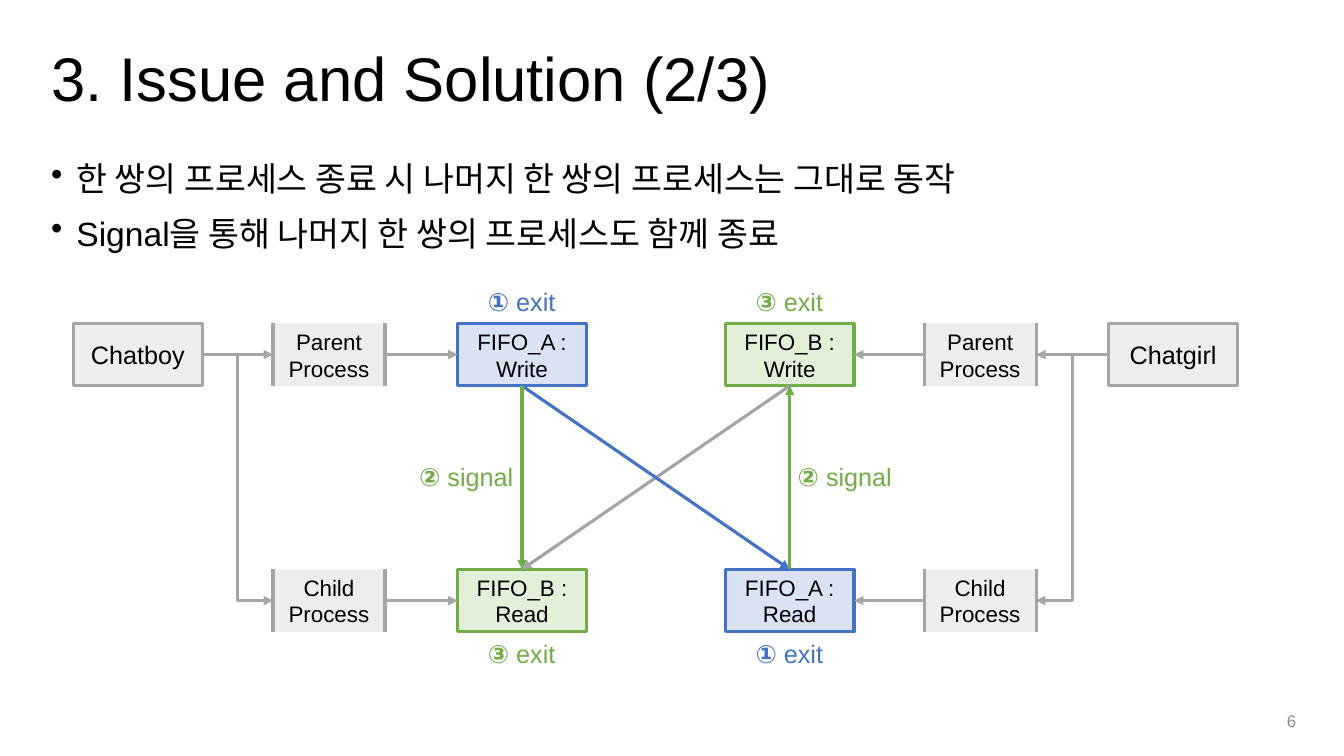
from pptx import Presentation
from pptx import util as u
from pptx.dml.color import RGBColor
from pptx.enum import shapes, text
from pptx.oxml import xmlchemy as x

Pt = u.Pt
COLORS = {
    "black": "000000", "number": "8C8C8C",
    "gray": "A5A5A5", "gray_fill": "EDEDED",
    "blue": "4472C4", "blue_fill": "DAE3F3",
    "green": "70AD47", "green_fill": "E2F0D9",
}
TOP, LEFT, BOTTOM, RIGHT = range(4)
ALIGN = text.PP_ALIGN
MIDDLE = text.MSO_ANCHOR.MIDDLE


def rgb(name):
    """Return the named palette colour."""
    return RGBColor.from_string(COLORS[name])


def write(p, words, size, color="black", **formats):
    """Add a run of Arial text to a paragraph."""
    r = p.add_run()
    r.text = words
    for key, value in {"name": "Arial", "size": Pt(size), **formats}.items():
        setattr(r.font, key, value)
    r.font.color.rgb = rgb(color)


def set_frame(tf, **formats):
    """Apply wrapping and other settings to a text frame."""
    settings = {"word_wrap": True, "auto_size": text.MSO_AUTO_SIZE.NONE}
    for key, value in {**settings, **formats}.items():
        setattr(tf, key, value)
    return tf


def add_text(s, box, **formats):
    """Add a text box and return its frame."""
    return set_frame(s.shapes.add_textbox(*map(Pt, box)).text_frame, **formats)


def add_title(s, box, words):
    """Place and format the title placeholder."""
    sp = s.shapes.title
    for key, value in zip(("left", "top", "width", "height"), box):
        setattr(sp, key, Pt(value))
    p = set_frame(sp.text_frame, vertical_anchor=MIDDLE).paragraphs[0]
    p.alignment, p.line_spacing = ALIGN.LEFT, 0.9
    write(p, words, 44)


def add_bullets(s, box, items):
    """Add the bulleted body text."""
    tf = add_text(s, box)
    for i, words in enumerate(items):
        p = tf.add_paragraph() if i else tf.paragraphs[0]
        p.space_before = Pt(10)
        pPr = p._p.get_or_add_pPr()
        pPr.set("marL", str(Pt(18)))
        pPr.set("indent", str(Pt(-18)))
        bullet = x.OxmlElement("a:buChar")
        bullet.set("char", "•")
        pPr.append(bullet)
        write(p, words, 24)


def add_page_number(s, box, number):
    """Add the page number at the lower right."""
    p = add_text(s, box, vertical_anchor=MIDDLE).paragraphs[0]
    p.alignment = ALIGN.RIGHT
    write(p, number, 12, "number")


def add_node(s, box, words, size=16, color="gray", kind=shapes.MSO_SHAPE.RECTANGLE):
    """Add one labelled diagram node."""
    sp = s.shapes.add_shape(kind, *map(Pt, box))
    if kind == shapes.MSO_SHAPE.DOUBLE_BRACKET:
        sp.adjustments[0] = 0
    sp.shadow.inherit = False
    sp.fill.solid()
    sp.fill.fore_color.rgb = rgb(color + "_fill")
    sp.line.color.rgb = rgb(color)
    sp.line.width = Pt(2.25)
    p = set_frame(sp.text_frame, vertical_anchor=MIDDLE).paragraphs[0]
    p.alignment = ALIGN.CENTER
    write(p, words, size)
    return sp


def add_arrow(s, start, start_side, end, end_side, color="gray",
              kind=shapes.MSO_CONNECTOR.STRAIGHT):
    """Join two nodes with an arrow."""
    c = s.shapes.add_connector(kind, 0, 0, 0, 0)
    c.begin_connect(start, start_side)
    c.end_connect(end, end_side)
    c.line.color.rgb = rgb(color)
    c.line.width = Pt(2.25)
    head = x.OxmlElement("a:tailEnd")
    head.set("type", "triangle")
    c.line._get_or_add_ln().append(head)
    c._element.spPr.append(x.OxmlElement("a:effectLst"))


def add_step(s, left, top, number, action, color):
    """Add a numbered step label."""
    p = add_text(s, (left, top, 91.5, 29)).paragraphs[0]
    p.alignment = ALIGN.CENTER
    write(p, number + " ", 18, color, bold=True)
    write(p, action, 18, color, bold=False)


def add_diagram(s, box):
    """Draw the two chat programs, their processes and the FIFOs."""
    left, top, width, height = box
    node_w, process_w, node_h = 92, 80, 44.6
    low = top + height - node_h
    fifo_x = (left + 274.4, left + 465.6)
    sides = (
        ("Chatboy", left, left + 142.5, fifo_x[0], RIGHT, LEFT,
         (("FIFO_A : Write", "blue"), ("FIFO_B : Read", "green"))),
        ("Chatgirl", left + width - node_w, left + 607.6, fifo_x[1], LEFT, RIGHT,
         (("FIFO_B : Write", "green"), ("FIFO_A : Read", "blue"))),
    )
    fifos = []
    for name, chat_x, process_x, queue_x, out, into, queues in sides:
        chat = add_node(s, (chat_x, top, node_w, node_h), name, 18)
        rows = zip((top, low), ("Parent Process", "Child Process"), queues,
                   (shapes.MSO_CONNECTOR.STRAIGHT, shapes.MSO_CONNECTOR.ELBOW))
        for y, label, (queue, color), kind in rows:
            process = add_node(s, (process_x, y, process_w, node_h), label,
                               kind=shapes.MSO_SHAPE.DOUBLE_BRACKET)
            fifo = add_node(s, (queue_x, y, node_w, node_h), queue, color=color)
            add_arrow(s, chat, out, process, into, kind=kind)
            add_arrow(s, process, out, fifo, into)
            fifos.append(fifo)

    a_write, b_read, b_write, a_read = fifos
    add_arrow(s, b_write, BOTTOM, b_read, TOP)
    add_arrow(s, a_write, BOTTOM, a_read, TOP, "blue")
    add_arrow(s, a_write, BOTTOM, b_read, TOP, "green")
    add_arrow(s, a_read, TOP, b_write, BOTTOM, "green")

    above, between, below = top - 30.2, top + 95, low + 45.4
    for step in (
        (fifo_x[0], above, "①", "exit", "blue"),
        (fifo_x[1], below, "①", "exit", "blue"),
        (fifo_x[0] - 39.6, between, "②", "signal", "green"),
        (fifo_x[1] + 39.6, between, "②", "signal", "green"),
        (fifo_x[1], above, "③", "exit", "green"),
        (fifo_x[0], below, "③", "exit", "green"),
    ):
        add_step(s, *step)


def main():
    """Build and save the slide."""
    prs = Presentation()
    prs.slide_width, prs.slide_height = Pt(960), Pt(540)
    s = prs.slides.add_slide(prs.slide_layouts[5])
    add_title(s, (29.5, 22.3, 900, 71.3), "3. Issue and Solution (2/3)")
    add_bullets(s, (29.5, 109.4, 900, 371), (
        "한 쌍의 프로세스 종료 시 나머지 한 쌍의 프로세스는 그대로 동작",
        "Signal을 통해 나머지 한 쌍의 프로세스도 함께 종료",
    ))
    add_page_number(s, (717, 500.4, 216, 28.8), "6")
    add_diagram(s, (52.5, 231, 831.5, 220.3))
    prs.save("out.pptx")


if __name__ == "__main__":
    main()
